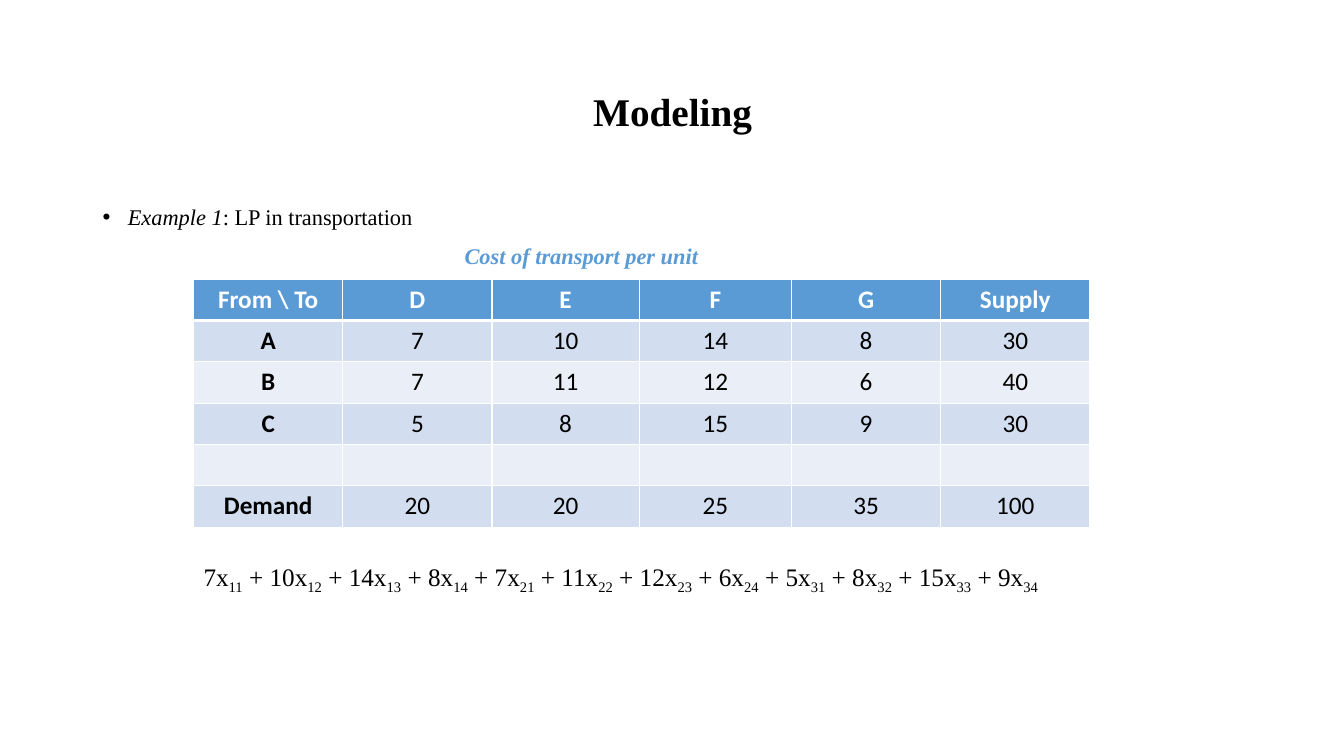
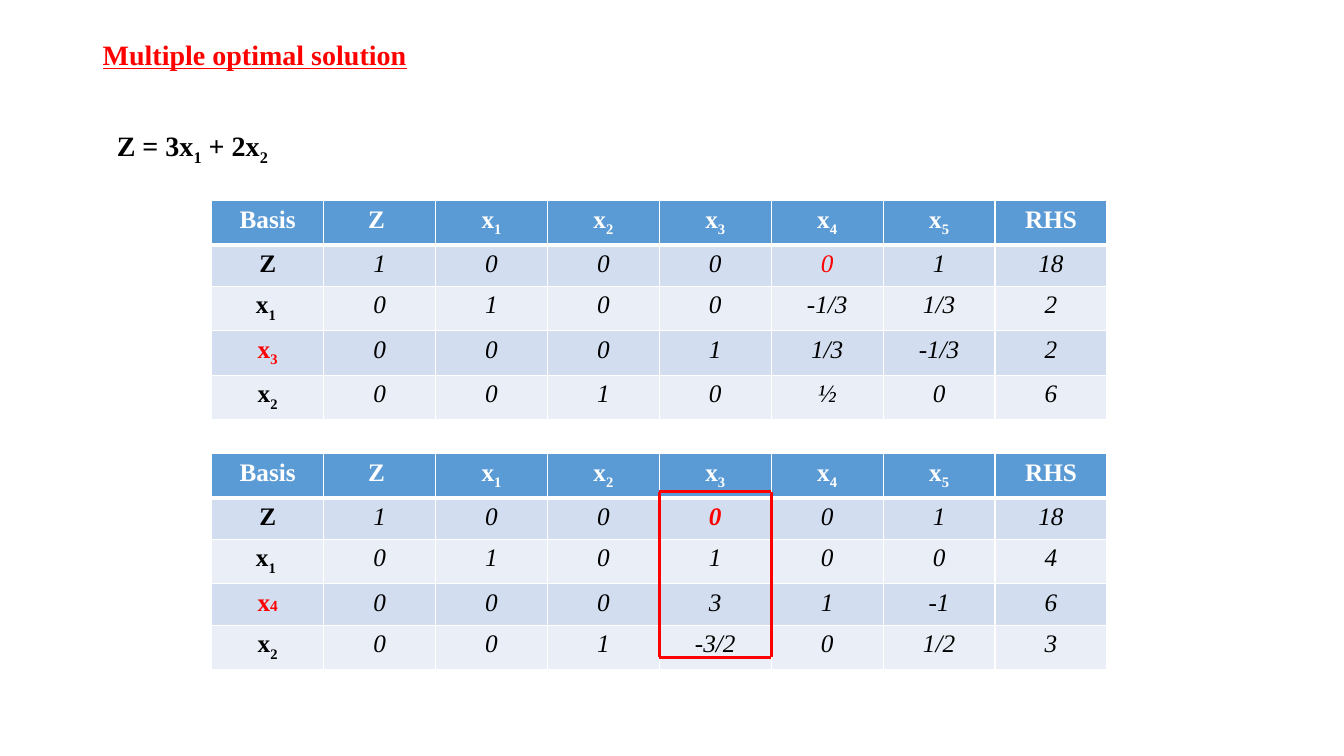
import itertools

import pptx
import pptx.dml.color
import pptx.enum.shapes
import pptx.enum.text
import pptx.oxml
import pptx.oxml.ns
import pptx.util

Inches = pptx.util.Inches
Pt = pptx.util.Pt
RGBColor = pptx.dml.color.RGBColor
Align = pptx.enum.text.PP_ALIGN
Anchor = pptx.enum.text.MSO_ANCHOR

BLACK = RGBColor(0x00, 0x00, 0x00)
WHITE = RGBColor(0xFF, 0xFF, 0xFF)
RED = RGBColor(0xFF, 0x00, 0x00)
BLUE = RGBColor(0x5B, 0x9B, 0xD5)
BANDS = (RGBColor(0xEA, 0xEF, 0xF7), RGBColor(0xD2, 0xDE, 0xEF))
SERIF = "Times New Roman"
SANS = "Calibri"
ROW_HEIGHT = 0.41
THIN, THICK = 1, 3

COST_HEADER = ["From \\ To", "D", "E", "F", "G", "Supply"]
COST_ROWS = [
    ["A", "7", "10", "14", "8", "30"],
    ["B", "7", "11", "12", "6", "40"],
    ["C", "5", "8", "15", "9", "30"],
]
DEMAND_ROW = ["Demand", "20", "20", "25", "35", "100"]

SIMPLEX_HEADER = ["Basis", "Z ", "x|1", "x|2", "x|3", "x|4", "x|5", "RHS"]
FIRST_TABLEAU = [
    ["Z", "1", "0", "0", "0", "0", "1", "18"],
    ["x|1 ", "0", "1", "0", "0", "-1/3", "1/3", "2"],
    ["x|3", "0", "0", "0", "1", "1/3", "-1/3", "2"],
    ["x|2", "0", "0", "1", "0", "½", "0", "6"],
]
SECOND_TABLEAU = [
    ["Z", "1", "0", "0", "0", "0", "1", "18"],
    ["x|1 ", "0", "1", "0", "1", "0", "0", "4"],
    ["x|4", "0", "0", "0", "3", "1", "-1", "6"],
    ["x|2", "0", "0", "1", "-3/2", "0", "1/2", "3"],
]


def write(para, text, size=18, font=SERIF, color=BLACK, bold=False,
          italic=False, underline=False, small=None):
    """Add text; every second piece between bars is a subscript, or plain text of size small."""
    for index, piece in enumerate(text.split("|")):
        if not piece:
            continue
        lowered = index % 2 == 1
        span = para.add_run()
        span.text = piece
        span.font.name = font
        span.font.size = Pt(small if lowered and small else size)
        span.font.color.rgb = color
        span.font.bold = bold
        span.font.italic = italic
        span.font.underline = underline
        if lowered and not small:
            span._r.get_or_add_rPr().set("baseline", "-25000")


def add_text_frame(page, left, top, width, height, anchor=Anchor.TOP):
    box = page.shapes.add_textbox(Inches(left), Inches(top), Inches(width), Inches(height))
    frame = box.text_frame
    frame.word_wrap = True
    frame.vertical_anchor = anchor
    return frame


def format_para(para, before=0, indent=0, bullet=False):
    para.line_spacing = 0.9
    para.space_before = Pt(before)
    properties = para._p.get_or_add_pPr()
    properties.set("marL", str(Inches(indent)))
    if bullet:
        properties.set("indent", str(-Inches(indent)))
        namespace = pptx.oxml.ns.nsdecls("a")
        for tag in ('buFont {} typeface="Arial"', 'buChar {} char="•"'):
            properties.append(pptx.oxml.parse_xml(f"<a:{tag.format(namespace)}/>"))


def set_borders(cell, top, bottom):
    properties = cell._tc.get_or_add_tcPr()
    for side, width in (("L", THIN), ("R", THIN), ("T", top), ("B", bottom)):
        properties.append(pptx.oxml.parse_xml(
            f'<a:ln{side} {pptx.oxml.ns.nsdecls("a")} w="{Pt(width)}">'
            f'<a:solidFill><a:srgbClr val="{WHITE}"/></a:solidFill></a:ln{side}>'))


def add_grid(page, left, top, widths, rows, font=SERIF, italic=False, accents=None):
    """Banded table; accents maps (row, column) to format overrides."""
    accents = accents or {}
    table = page.shapes.add_table(
        len(rows), len(widths), Inches(left), Inches(top),
        Inches(sum(widths)), Inches(ROW_HEIGHT * len(rows))).table
    table.first_row = table.horz_banding = False
    for column, width in zip(table.columns, widths):
        column.width = Inches(width)
    for r, values in enumerate(rows):
        table.rows[r].height = Inches(ROW_HEIGHT)
        for c, value in enumerate(values):
            cell = table.cell(r, c)
            set_borders(cell, THICK if r == 1 else THIN, THICK if r == 0 else THIN)
            cell.fill.solid()
            cell.fill.fore_color.rgb = BANDS[r % 2] if r else BLUE
            label = r == 0 or c == 0
            style = dict(font=font, color=BLACK if r else WHITE,
                         bold=label, italic=italic and not label)
            style.update(accents.get((r, c), {}))
            para = cell.text_frame.paragraphs[0]
            para.alignment = Align.CENTER
            write(para, value, **style)


def add_frame_lines(page, left, top, width, height):
    right, bottom = left + width, top + height
    corners = [(left, top), (right, top), (right, bottom), (left, bottom), (left, top)]
    for start, end in itertools.pairwise(corners):
        line = page.shapes.add_connector(
            pptx.enum.shapes.MSO_CONNECTOR.STRAIGHT, *map(Inches, start + end))
        line.line.color.rgb = RED
        line.line.width = Pt(2.25)
        line._element.spPr.append(pptx.oxml.parse_xml(
            f'<a:effectLst {pptx.oxml.ns.nsdecls("a")}/>'))


def cost_expression():
    terms = [f"{cost}x|{i}{j}|"
             for i, row in enumerate(COST_ROWS, 1)
             for j, cost in enumerate(row[1:-1], 1)]
    return " + ".join(terms)


def build_modeling(page):
    title = add_text_frame(page, 0.92, 0.4, 11.5, 1.45, Anchor.MIDDLE).paragraphs[0]
    format_para(title)
    title.alignment = Align.CENTER
    write(title, "Modeling", size=28, bold=True)

    body = add_text_frame(page, 0.92, 2, 11.5, 4.76)
    example = body.paragraphs[0]
    format_para(example, indent=0.25, bullet=True)
    write(example, "Example 1", size=16, italic=True)
    write(example, ": LP in transportation", size=16)
    caption = body.add_paragraph()
    format_para(caption, before=10, indent=3.59)
    write(caption, "Cost of transport per unit", size=16, color=BLUE, bold=True, italic=True)

    left, widths = 1.92, [1.48, 1.48, 1.46, 1.51, 1.48, 1.48]
    spacer = [""] * len(widths)
    add_grid(page, left, 2.77, widths,
             [COST_HEADER, *COST_ROWS, spacer, DEMAND_ROW], font=SANS)
    formula = add_text_frame(page, left, 5.52, sum(widths), 0.4)
    write(formula.paragraphs[0], cost_expression())


def build_multiple_optima(page):
    body = add_text_frame(page, 0.92, 0.36, 11.5, 6.34)
    heading = body.paragraphs[0]
    format_para(heading)
    write(heading, "Multiple optimal solution", size=20, color=RED, bold=True, underline=True)
    objective = body.add_paragraph()
    format_para(objective, before=41, indent=0.14)
    write(objective, "Z = 3x|1| + 2x|2", size=20, bold=True)

    left, column_width, second_top, entering = 2.1, 1.11, 4.5, 4
    widths = [column_width] * len(SIMPLEX_HEADER)
    add_grid(page, left, 1.99, widths, [SIMPLEX_HEADER, *FIRST_TABLEAU], italic=True,
             accents={(1, 5): dict(color=RED), (3, 0): dict(color=RED)})
    add_grid(page, left, second_top, widths, [SIMPLEX_HEADER, *SECOND_TABLEAU], italic=True,
             accents={(1, entering): dict(color=RED, bold=True),
                      (3, 0): dict(color=RED, small=11)})
    add_frame_lines(page, left + entering * column_width, second_top + 0.38,
                    column_width, 4 * ROW_HEIGHT)


def main():
    deck = pptx.Presentation()
    deck.slide_width, deck.slide_height = Inches(13.33), Inches(7.5)
    for build in (build_modeling, build_multiple_optima):
        build(deck.slides.add_slide(deck.slide_layouts[6]))
    deck.save("out.pptx")


if __name__ == "__main__":
    main()
